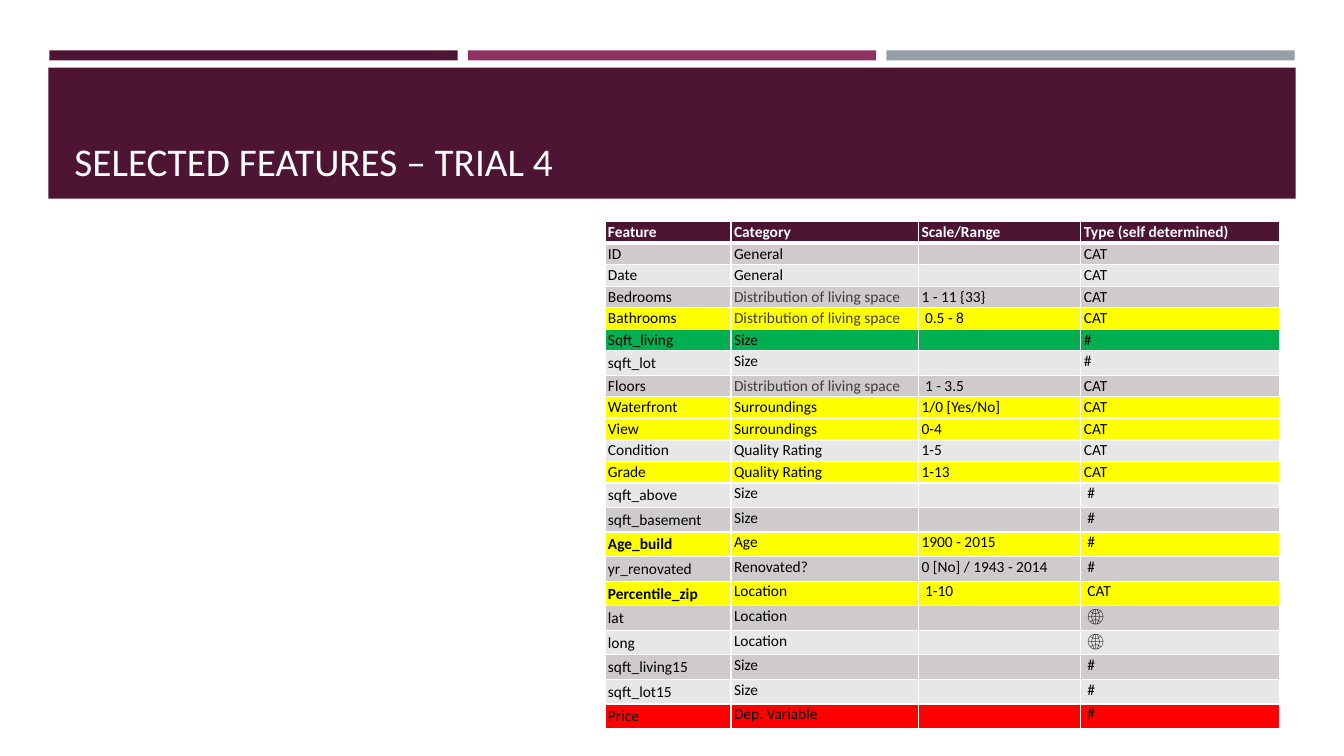
import lxml.etree
import pptx
import pptx.dml.color
import pptx.enum.shapes
import pptx.enum.text
import pptx.oxml.ns
import pptx.util

Inches = pptx.util.Inches
Pt = pptx.util.Pt
RGBColor = pptx.dml.color.RGBColor

PLUM = RGBColor(0x4D, 0x14, 0x34)
MAGENTA = RGBColor(0x90, 0x31, 0x63)
SLATE = RGBColor(0x96, 0x9F, 0xA7)
WHITE = RGBColor(0xFF, 0xFF, 0xFF)
BLACK = RGBColor(0x00, 0x00, 0x00)
CHARCOAL = RGBColor(0x3D, 0x3D, 0x3D)
DARK_BAND = RGBColor(0xCF, 0xCA, 0xCC)
LIGHT_BAND = RGBColor(0xE8, 0xE7, 0xE7)
YELLOW = RGBColor(0xFF, 0xFF, 0x00)
GREEN = RGBColor(0x00, 0xB0, 0x50)
RED = RGBColor(0xFF, 0x00, 0x00)

LIVING_SPACE = "Distribution of living space"
HEADER = ("Feature", "Category", "Scale/Range", "Type (self determined)")
FEATURES = [
    ("ID", "General", "", "CAT"),
    ("Date", "General", "", "CAT"),
    ("Bedrooms", LIVING_SPACE, "1 - 11 {33}", "CAT"),
    ("Bathrooms", LIVING_SPACE, " 0.5 - 8", "CAT"),
    ("Sqft_living", "Size", "", "#"),
    ("sqft_lot", "Size", "", "#"),
    ("Floors", LIVING_SPACE, " 1 - 3.5", "CAT"),
    ("Waterfront", "Surroundings", "1/0 [Yes/No]", "CAT"),
    ("View", "Surroundings", "0-4", "CAT"),
    ("Condition", "Quality Rating", "1-5", "CAT"),
    ("Grade", "Quality Rating", "1-13", "CAT"),
    ("sqft_above", "Size", "", " #"),
    ("sqft_basement", "Size", "", " #"),
    ("Age_build", "Age", "1900 - 2015", " #"),
    ("yr_renovated", "Renovated?", "0 [No] / 1943 - 2014", " #"),
    ("Percentile_zip", "Location", " 1-10", " CAT"),
    ("lat", "Location", "", " 🌐"),
    ("long", "Location", "", " 🌐"),
    ("sqft_living15", "Size", "", " #"),
    ("sqft_lot15", "Size", "", " #"),
    ("Price", "Dep. Variable", "", " #"),
]
HIGHLIGHTS = {"Sqft_living": GREEN, "Price": RED}
for feature in ("Bathrooms", "Waterfront", "View", "Grade", "Age_build", "Percentile_zip"):
    HIGHLIGHTS[feature] = YELLOW
ENGINEERED = ("Age_build", "Percentile_zip")
FIRST_TALL_ROW = 12


def add_bar(left, top, width, height, color):
    bar = slide.shapes.add_shape(
        pptx.enum.shapes.MSO_SHAPE.RECTANGLE,
        Inches(left), Inches(top), Inches(width), Inches(height))
    bar.shadow.inherit = False
    bar.fill.solid()
    bar.fill.fore_color.rgb = color
    bar.line.fill.background()


def add_border(cell, position, side, points):
    line = lxml.etree.Element(pptx.oxml.ns.qn("a:" + side), w=str(Pt(points)))
    fill = lxml.etree.SubElement(line, pptx.oxml.ns.qn("a:solidFill"))
    lxml.etree.SubElement(fill, pptx.oxml.ns.qn("a:srgbClr"), val=str(WHITE))
    cell._tc.get_or_add_tcPr().insert(position, line)


presentation = pptx.Presentation()
presentation.slide_width = Inches(13.33)
presentation.slide_height = Inches(7.5)
slide = presentation.slides.add_slide(presentation.slide_layouts[6])

for index, color in enumerate((PLUM, MAGENTA, SLATE)):
    add_bar(0.49 + 4.15 * index, 0.5, 4.05, 0.1, color)
add_bar(0.48, 0.67, 12.37, 1.3, PLUM)

title = slide.shapes.add_textbox(Inches(0.64), Inches(0.77), Inches(12.06), Inches(1.11))
title.text_frame.word_wrap = True
title.text_frame.vertical_anchor = pptx.enum.text.MSO_ANCHOR.BOTTOM
title.text_frame.text = "SELECTED FEATURES – TRIAL 4"
title_font = title.text_frame.paragraphs[0].runs[0].font
title_font.name = "Calibri"
title_font.size = Pt(28)
title_font.color.rgb = WHITE

rows = [HEADER] + FEATURES
table = slide.shapes.add_table(
    len(rows), len(HEADER), Inches(6), Inches(2.2), Inches(6.69), Inches(4.99)).table
table.horz_banding = False
for column, width in zip(table.columns, (1.25, 1.86, 1.61, 1.97)):
    column.width = Inches(width)

for row_index, values in enumerate(rows):
    feature = values[0]
    is_header = row_index == 0
    is_tall = feature == "sqft_lot" or row_index >= FIRST_TALL_ROW
    table.rows[row_index].height = Inches((2.65 if is_tall else 2.35) / 11)
    band = DARK_BAND if row_index % 2 else LIGHT_BAND
    row_fill = PLUM if is_header else HIGHLIGHTS.get(feature, band)

    for column_index, value in enumerate(values):
        cell = table.cell(row_index, column_index)
        cell.fill.solid()
        cell.fill.fore_color.rgb = row_fill
        cell.margin_left = cell.margin_right = Inches(0.03)
        padding = 0.03 if is_tall and column_index == 0 else 0.01
        cell.margin_top = cell.margin_bottom = Inches(padding)
        top_width = 3 if row_index == 1 else 1
        bottom_width = 3 if is_header else 1
        sides = (("lnL", 1), ("lnR", 1), ("lnT", top_width), ("lnB", bottom_width))
        for position, (side, points) in enumerate(sides):
            add_border(cell, position, side, points)

        cell.text_frame.text = value
        paragraph = cell.text_frame.paragraphs[0]
        if not value:
            paragraph._p.get_or_add_endParaRPr().set("sz", "1100")
        for run in paragraph.runs:
            run.font.name = "Calibri"
            run.font.size = Pt(11)
            run.font.bold = is_header or (feature in ENGINEERED and column_index == 0)
            text_color = CHARCOAL if value == LIVING_SPACE else BLACK
            run.font.color.rgb = WHITE if is_header else text_color

presentation.save("out.pptx")
